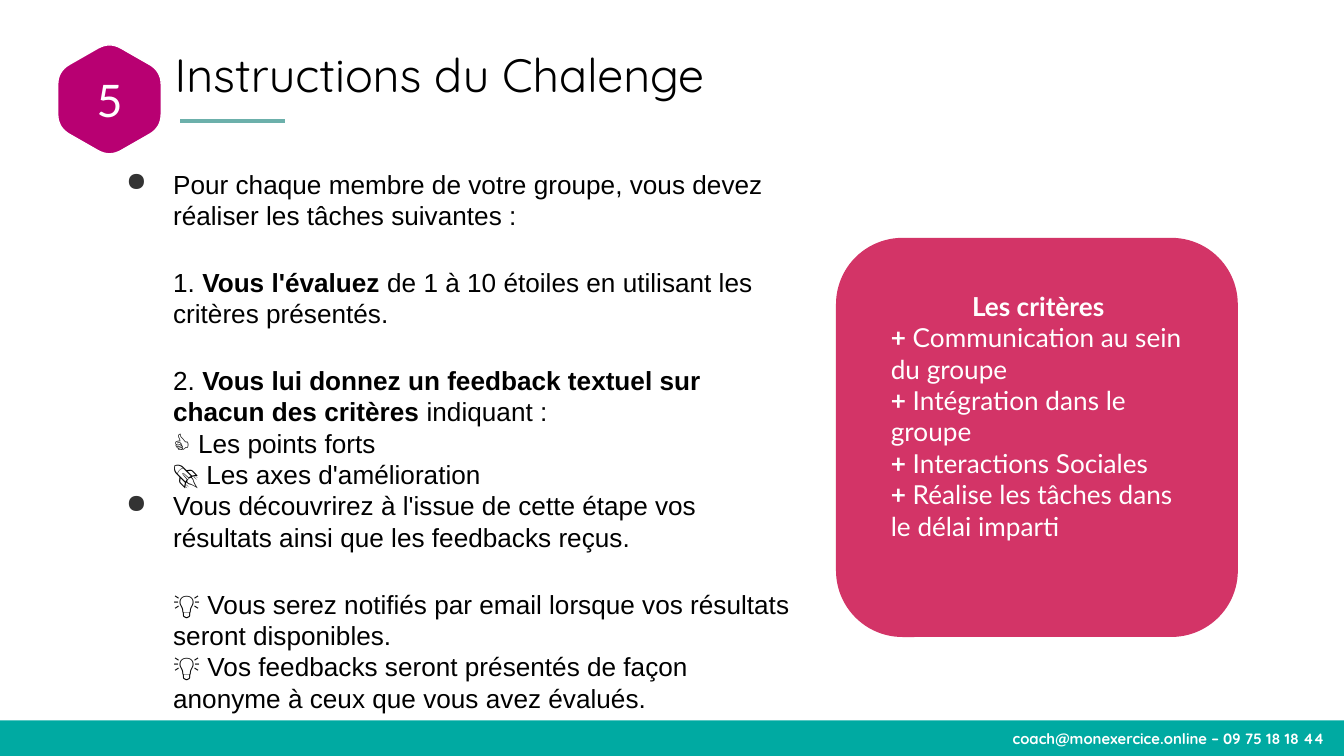
from math import dist

from lxml.etree import SubElement
from pptx import Presentation
from pptx.dml.color import RGBColor
from pptx.enum.shapes import MSO_CONNECTOR as Connector, MSO_SHAPE as Shape
from pptx.enum.text import MSO_ANCHOR as Anchor, PP_ALIGN as Align
from pptx.oxml.ns import qn
from pptx.util import Inches, Pt

CELL = Inches(0.1)
COLUMNS, ROWS = 100, 56.25
TEAL, MAGENTA, PINK, WHITE, BLACK = "00AAA2", "B80072", "D33467", "FFFFFF", "000000"

INSTRUCTIONS = [
    ("Pour chaque membre de votre groupe, vous devez réaliser les tâches suivantes :", True, 0),
    ("1. *Vous l'évaluez* de 1 à 10 étoiles en utilisant les critères présentés.", False, 19),
    ("2. *Vous lui donnez un feedback textuel sur chacun des critères* indiquant :", False, 19),
    ("👍 Les points forts", False, 0),
    ("🚀 Les axes d'amélioration", False, 0),
    ("Vous découvrirez à l'issue de cette étape vos résultats ainsi que les feedbacks reçus.", True, 0),
    ("💡 Vous serez notifiés par email lorsque vos résultats seront disponibles.", False, 19),
    ("💡 Vos feedbacks seront présentés de façon anonyme à ceux que vous avez évalués.", False, 0),
]
CRITERIA = [
    "Communication au sein du groupe",
    "Intégration dans le groupe",
    "Interactions Sociales",
    "Réalise les tâches dans le délai imparti",
]


def grid(*cells):
    return [round(cell * CELL) for cell in cells]


def colour(code):
    return RGBColor.from_string(code)


def paint(shape, fill, line=None):
    shape.shadow.inherit = False
    shape.fill.solid()
    shape.fill.fore_color.rgb = colour(fill)
    if line:
        shape.line.color.rgb = colour(line)
        shape.line.width = Pt(0.75)
    else:
        shape.line.fill.background()


def add_block(page, preset, cells, fill):
    block = page.shapes.add_shape(preset, *grid(*cells))
    paint(block, fill)
    return block


def set_frame(shape, margin=0, anchor=Anchor.TOP):
    frame = shape.text_frame
    frame.word_wrap = True
    frame.vertical_anchor = anchor
    frame.margin_left = frame.margin_right = round(margin * CELL)
    frame.margin_top = frame.margin_bottom = round(margin * CELL)
    return frame


def add_box(page, cells, margin=0):
    return set_frame(page.shapes.add_textbox(*grid(*cells)), margin)


def add_bullet(para):
    props = para._p.get_or_add_pPr()
    props.set("indent", str(-Inches(0.35)))
    tint = SubElement(props, qn("a:buClr"))
    SubElement(tint, qn("a:srgbClr"), val="333333")
    SubElement(props, qn("a:buChar"), char="●")


def write(frame, text, font="Lato", size=14, ink=WHITE, align=Align.LEFT,
          indent=0, bullet=False, before=0, pitch=None):
    para = frame.paragraphs[0]
    if para.runs:
        para = frame.add_paragraph()
    para.alignment = align
    para.space_before = Pt(before)
    if pitch:
        para.line_spacing = Pt(pitch)
    if indent:
        para._p.get_or_add_pPr().set("marL", str(Inches(indent)))
    if bullet:
        add_bullet(para)
    for index, part in enumerate(text.split("*")):
        if part:
            span = para.add_run()
            span.text = part
            span.font.name = font
            span.font.size = Pt(size)
            span.font.bold = index % 2 == 1
            span.font.color.rgb = colour(ink)


def toward(start, end, share):
    return tuple(a + (b - a) * share for a, b in zip(start, end))


def round_corners(corners, cut, steps=8):
    points = []
    for index, corner in enumerate(corners):
        before, after = corners[index - 1], corners[(index + 1) % len(corners)]
        first = toward(corner, before, cut / dist(corner, before))
        last = toward(corner, after, cut / dist(corner, after))
        for step in range(steps + 1):
            share = step / steps
            points.append(toward(toward(first, corner, share), toward(corner, last, share), share))
    return points


def add_badge(page, number):
    left, middle, right = 4.3, 8.15, 12
    corners = [(middle, 3.1), (right, 5.3), (right, 9.5), (middle, 11.7), (left, 9.5), (left, 5.3)]
    points = [tuple(grid(*point)) for point in round_corners(corners, 1)]
    builder = page.shapes.build_freeform(*points[0])
    builder.add_line_segments(points[1:], close=True)
    badge = builder.convert_to_shape()
    paint(badge, MAGENTA, WHITE)
    write(set_frame(badge, anchor=Anchor.MIDDLE), number, size=24, align=Align.CENTER)


def add_heading(page, text):
    write(add_box(page, (13, 3.4, 72.7, 4.2)), text, font="Quicksand", size=25, ink=BLACK)
    rule = page.shapes.add_connector(Connector.STRAIGHT, *grid(13.4, 9, 21.2, 9))
    rule.line.color.rgb = colour("6CB0AB")
    rule.line.width = Pt(2)
    SubElement(rule._element.spPr, qn("a:effectLst"))


def add_footer(page, text):
    height = 2.65
    bar = add_block(page, Shape.RECTANGLE, (0, ROWS - height, COLUMNS, height), TEAL)
    frame = set_frame(bar, anchor=Anchor.MIDDLE)
    frame.margin_right = round(1.4 * CELL)
    write(frame, f"*{text}*", font="Quicksand", size=8, align=Align.RIGHT)


def add_instructions(page):
    frame = add_box(page, (6.9, 11.5, 53.6, 42.7), margin=1)
    for text, bullet, before in INSTRUCTIONS:
        write(frame, text, font="Arial", ink=BLACK, indent=0.5,
              bullet=bullet, before=before, pitch=16.8)


def add_criteria(page):
    add_block(page, Shape.FLOWCHART_ALTERNATE_PROCESS, (62.2, 17.7, 29.9, 29.7), PINK)
    frame = add_box(page, (65.3, 20.6, 23.9, 20.9), margin=1)
    write(frame, "*Les critères*", align=Align.CENTER)
    for criterion in CRITERIA:
        write(frame, f"*+* {criterion}")


def main():
    deck = Presentation()
    deck.slide_width, deck.slide_height = grid(COLUMNS, ROWS)
    page = deck.slides.add_slide(deck.slide_layouts[6])
    add_heading(page, "Instructions du Chalenge")
    add_badge(page, "5")
    add_footer(page, "coach@monexercice.online – 09 75 18 18 44")
    add_instructions(page)
    add_criteria(page)
    deck.save("out.pptx")


if __name__ == "__main__":
    main()
